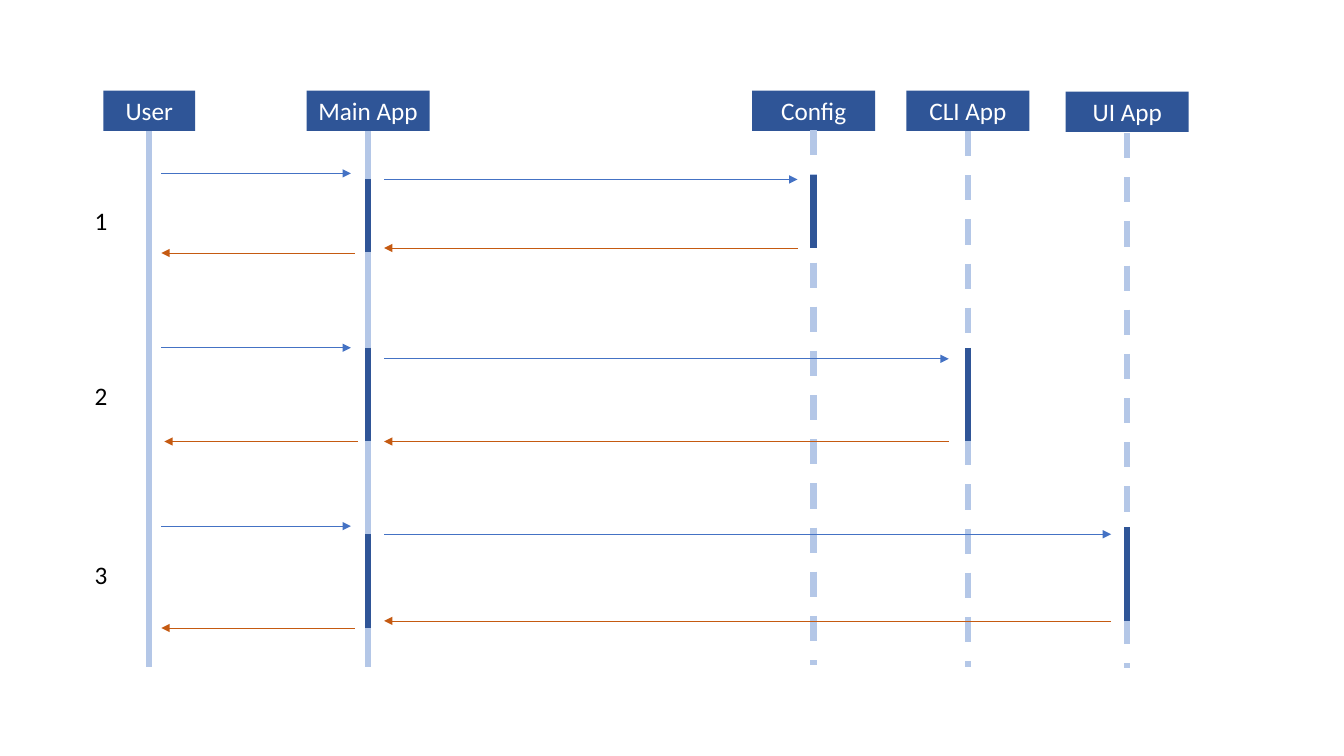
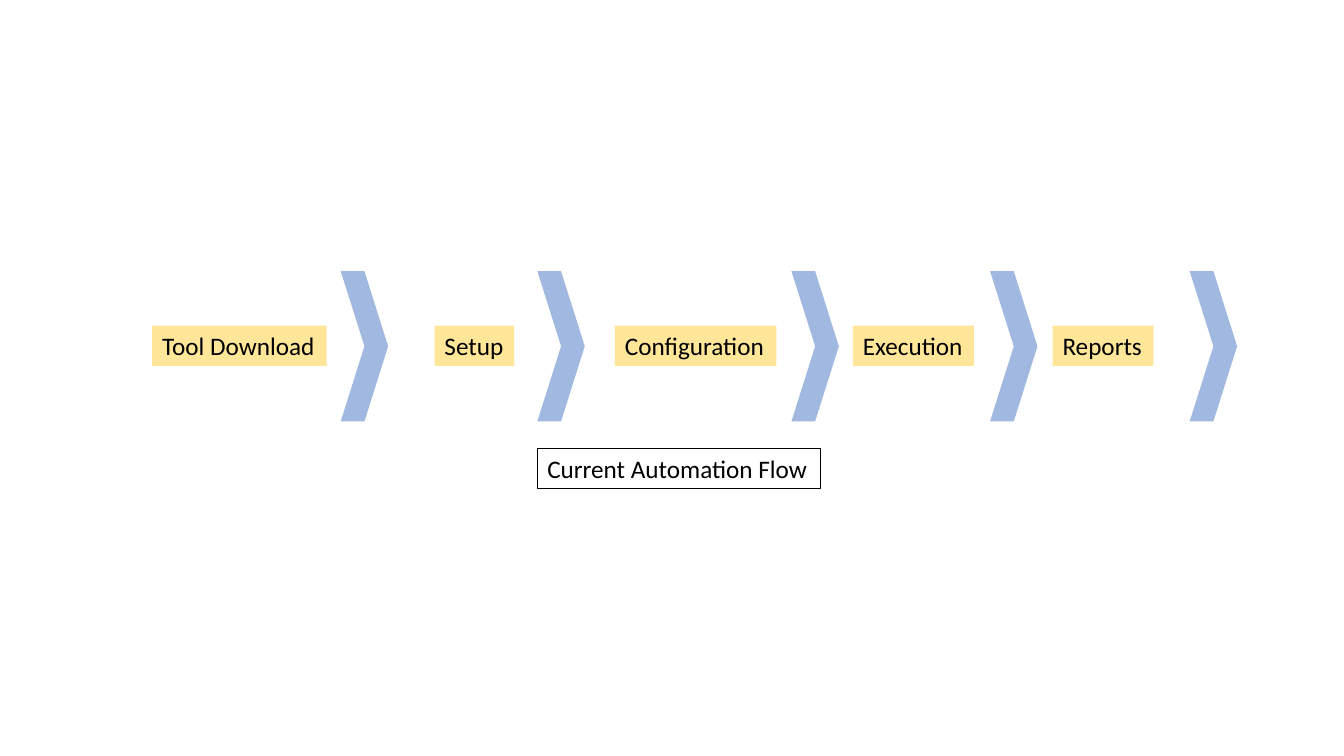
import dataclasses

import lxml.etree
import pptx
import pptx.dml.color
import pptx.enum.dml
import pptx.enum.shapes
import pptx.enum.text
import pptx.oxml.ns
import pptx.util

Inches = pptx.util.Inches
Pt = pptx.util.Pt
qn = pptx.oxml.ns.qn
RGB = pptx.dml.color.RGBColor.from_string
SHAPE = pptx.enum.shapes.MSO_SHAPE
CONNECTOR = pptx.enum.shapes.MSO_CONNECTOR
ALIGN = pptx.enum.text.PP_ALIGN
ANCHOR = pptx.enum.text.MSO_ANCHOR
DASH = pptx.enum.dml.MSO_LINE.DASH


@dataclasses.dataclass(frozen=True)
class Theme:
    font: str = "Calibri"
    size: float = 18
    bar: float = 4.5
    arrow: float = 0.5
    border: float = 0.75
    box_height: float = 0.4
    white: str = "FFFFFF"
    black: str = "000000"
    navy: str = "2F5597"
    blue: str = "4472C4"
    pale: str = "B4C7E7"
    orange: str = "C55A11"
    yellow: str = "FFE699"


@dataclasses.dataclass(frozen=True)
class Actor:
    name: str
    x: float
    width: float = 1.22
    top: float = 0.9
    start: float = 1.3
    end: float = 6.62
    dashed: bool = False


@dataclasses.dataclass(frozen=True)
class Step:
    label_top: float
    target: Actor
    request: float
    call: float
    result: float
    reply: float
    main_bar: tuple
    target_bar: tuple
    target_gap: float = 0.16
    reply_shift: float = 0


T = Theme()
USER = Actor("User", 1.48, width=0.91)
MAIN = Actor("Main App", 3.65)
CONFIG = Actor("Config", 8.07, start=1.29, end=6.6, dashed=True)
CLI = Actor("CLI App", 9.6, dashed=True)
UI = Actor("UI App", 11.18, top=0.91, start=1.32, end=6.63, dashed=True)

STEPS = [
    Step(1.99, CONFIG, 1.72, 1.78, 2.46, 2.51, (1.78, 2.5), (1.74, 2.46)),
    Step(3.72, CLI, 3.45, 3.56, 4.38, 4.38, (3.45, 4.38), (3.45, 4.38),
         target_gap=0.19, reply_shift=0.03),
    Step(5.5, UI, 5.22, 5.3, 6.16, 6.23, (5.3, 6.23), (5.23, 6.16)),
]

STAGES = [
    ("Tool Download", 1.51, 1.73, 3.38),
    ("Setup", 4.31, 0.79, 5.33),
    ("Configuration", 6.1, 1.6, 7.85),
    ("Execution", 8.46, 1.2, 9.82),
    ("Reports", 10.44, 1, 11.8),
]


def apply(target, values):
    for name, value in values.items():
        setattr(target, name, value)


def add_text(sp, text, color, align=ALIGN.LEFT, wrap=False):
    tf = sp.text_frame
    apply(tf, {"word_wrap": wrap, "vertical_anchor": ANCHOR.MIDDLE})
    p = tf.paragraphs[0]
    p.alignment = align
    r = p.add_run()
    r.text = text
    apply(r.font, {"name": T.font, "size": Pt(T.size)})
    r.font.color.rgb = RGB(color)


def add_shape(s, kind, box, fill=None, line=None):
    sp = s.shapes.add_shape(kind, *map(Inches, box))
    sp.shadow.inherit = False
    if fill:
        sp.fill.solid()
        sp.fill.fore_color.rgb = RGB(fill)
    else:
        sp.fill.background()
    if line:
        sp.line.color.rgb = RGB(line)
        sp.line.width = Pt(T.border)
    else:
        sp.line.fill.background()
    return sp


def add_chevron(s, left):
    sp = add_shape(s, SHAPE.CHEVRON, (left, 2.69, 0.47, 1.49), T.blue)
    color = next(sp.element.spPr.iter(qn("a:srgbClr")))
    lxml.etree.SubElement(color, qn("a:alpha"), val="50000")


def add_line(s, start, end, color, width, dashed=False, arrow=False):
    line = s.shapes.add_connector(
        CONNECTOR.STRAIGHT, *map(Inches, (*start, *end)))
    line.line.color.rgb = RGB(color)
    line.line.width = Pt(width)
    if dashed:
        line.line.dash_style = DASH
    spPr = line.element.spPr
    if arrow:
        lxml.etree.SubElement(
            spPr.find(qn("a:ln")), qn("a:tailEnd"), type="triangle")
    lxml.etree.SubElement(spPr, qn("a:effectLst"))


def add_bar(s, x, span, color, dashed=False):
    top, bottom = span
    add_line(s, (x, top), (x, bottom), color, T.bar, dashed=dashed)


def add_message(s, x1, x2, y, color):
    add_line(s, (x1, y), (x2, y), color, T.arrow, arrow=True)


def add_actor(s, actor):
    box = (actor.x - actor.width / 2, actor.top, actor.width, T.box_height)
    sp = add_shape(s, SHAPE.RECTANGLE, box, T.navy)
    add_text(sp, actor.name, T.white, ALIGN.CENTER, wrap=True)
    add_bar(s, actor.x, (actor.start, actor.end), T.pale, actor.dashed)


def add_step(s, number, step):
    user_x = USER.x + 0.12
    main_x = MAIN.x + 0.16
    target_x = step.target.x - step.target_gap
    shift = step.reply_shift
    add_message(s, user_x, MAIN.x - 0.17, step.request, T.blue)
    add_message(s, main_x, target_x, step.call, T.blue)
    add_message(s, target_x, main_x, step.result, T.orange)
    add_message(s, MAIN.x - 0.13 + shift, user_x + shift, step.reply, T.orange)
    add_bar(s, MAIN.x, step.main_bar, T.navy)
    add_bar(s, step.target.x, step.target_bar, T.navy)
    label = s.shapes.add_textbox(
        *map(Inches, (0.84, step.label_top, 0.33, T.box_height)))
    add_text(label, str(number), T.black)


def add_label(s, text, left, top, width, fill=None, line=None):
    box = (left, top, width, T.box_height)
    sp = add_shape(s, SHAPE.RECTANGLE, box, fill, line)
    add_text(sp, text, T.black)


def build_sequence(s):
    for actor in (USER, MAIN, CONFIG, CLI, UI):
        add_actor(s, actor)
    for number, step in enumerate(STEPS, 1):
        add_step(s, number, step)


def build_flow(s):
    for name, left, width, chevron_left in STAGES:
        add_chevron(s, chevron_left)
        add_label(s, name, left, 3.23, width, fill=T.yellow)
    add_label(s, "Current Automation Flow", 5.33, 4.45, 2.81, line=T.black)


def main():
    prs = pptx.Presentation()
    apply(prs, {"slide_width": Inches(13.33), "slide_height": Inches(7.5)})
    blank = prs.slide_layouts[6]
    for build in (build_sequence, build_flow):
        build(prs.slides.add_slide(blank))
    prs.save("out.pptx")


if __name__ == "__main__":
    main()
